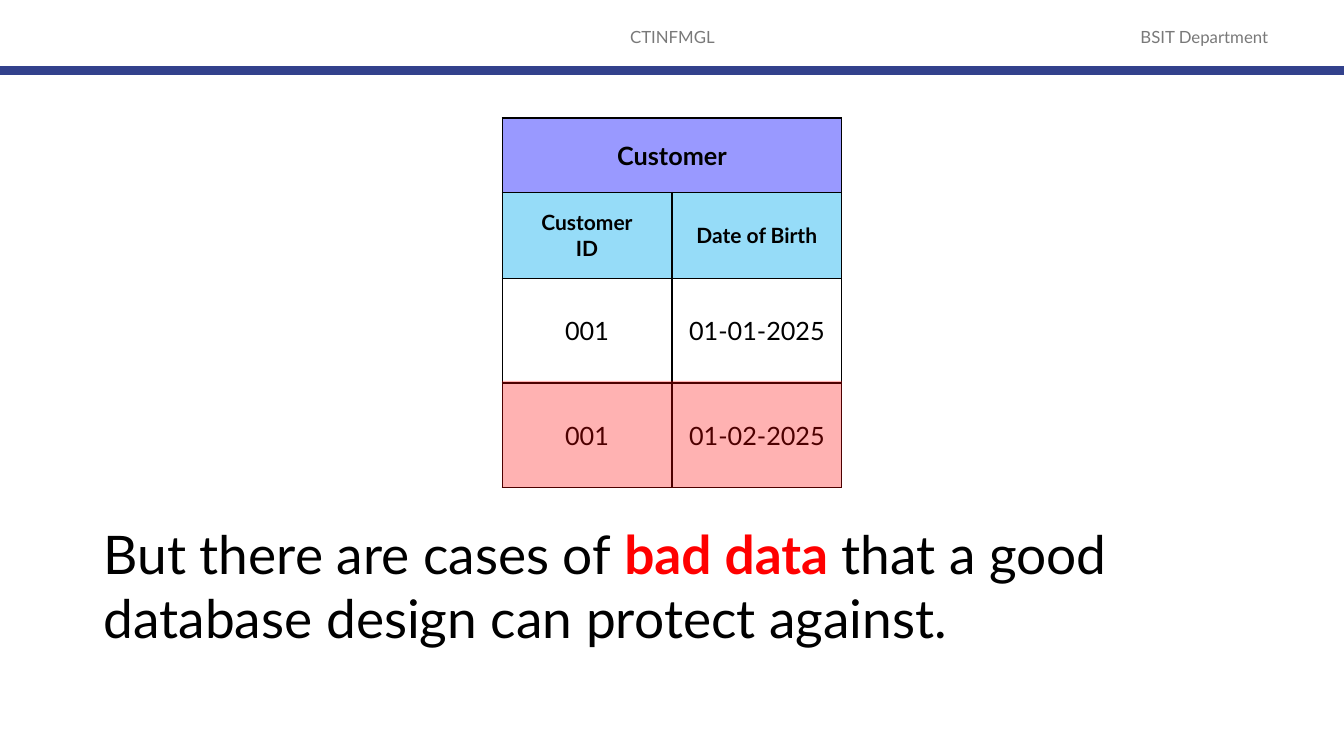
"""Build the slide on bad data in the Customer table."""
from lxml import etree
from pptx import Presentation
from pptx.dml.color import RGBColor
from pptx.enum.shapes import MSO_CONNECTOR, MSO_SHAPE
from pptx.enum.text import MSO_ANCHOR, PP_ALIGN
from pptx.oxml.ns import qn
from pptx.util import Inches, Pt

BLACK = RGBColor(0x00, 0x00, 0x00)
GRAY = RGBColor(0x79, 0x79, 0x79)
NAVY = RGBColor(0x32, 0x41, 0x8C)
VIOLET = RGBColor(0x99, 0x99, 0xFF)
SKY = RGBColor(0x96, 0xDC, 0xF8)
RED = RGBColor(0xFF, 0x00, 0x00)


def write(frame, text, size=18, color=BLACK, bold=False, align=PP_ALIGN.CENTER):
    """Append text to the frame, starting a paragraph at each line break."""
    for index, line in enumerate(text.split("\n")):
        para = frame.add_paragraph() if index else frame.paragraphs[-1]
        para.alignment = align
        span = para.add_run()
        span.text = line
        span.font.name = "Lato"
        span.font.size = Pt(size)
        span.font.bold = bold
        span.font.color.rgb = color


def add_borders(cell):
    """Draw a one-point black line on all four sides of a cell."""
    properties = cell._tc.get_or_add_tcPr()
    for index, side in enumerate(("lnL", "lnR", "lnT", "lnB")):
        border = etree.Element(qn(f"a:{side}"), w=str(Pt(1)))
        fill = etree.SubElement(border, qn("a:solidFill"))
        etree.SubElement(fill, qn("a:srgbClr"), val=str(BLACK))
        properties.insert(index, border)


deck = Presentation()
deck.slide_width = Inches(13.33)
deck.slide_height = Inches(7.5)
page = deck.slides.add_slide(deck.slide_layouts[6])
shapes = page.shapes

for label, left, width in (("CTINFMGL", 4.42, 4.5), ("BSIT Department", 10.92, 2.05)):
    box = shapes.add_textbox(Inches(left), Inches(0.17), Inches(width), Inches(0.4))
    box.text_frame.word_wrap = True
    box.text_frame.vertical_anchor = MSO_ANCHOR.MIDDLE
    write(box.text_frame, label, size=12, color=GRAY)

rule = shapes.add_connector(
    MSO_CONNECTOR.STRAIGHT, 0, Inches(0.7), deck.slide_width, Inches(0.7)
)
rule.line.color.rgb = NAVY
rule.line.width = Pt(6)
etree.SubElement(rule._element.spPr, qn("a:effectLst"))

customer_rows = (
    (0.74, ("Customer", ""), VIOLET, 18, True),
    (0.85, ("Customer\nID", "Date of Birth"), SKY, 15, True),
    (1.04, ("001", "01-01-2025"), None, 18, False),
    (1.04, ("001", "01-02-2025"), None, 18, False),
)
table = shapes.add_table(
    len(customer_rows), 2, Inches(4.98), Inches(1.17), Inches(3.37), Inches(3.67)
).table
table.first_row = False
table.horz_banding = False
table.cell(0, 0).merge(table.cell(0, 1))
for row, (height, texts, fill, size, bold) in enumerate(customer_rows):
    table.rows[row].height = Inches(height)
    for column, text in enumerate(texts):
        cell = table.cell(row, column)
        cell.vertical_anchor = MSO_ANCHOR.MIDDLE
        if fill is None:
            cell.fill.background()
        else:
            cell.fill.solid()
            cell.fill.fore_color.rgb = fill
        add_borders(cell)
        if text:
            write(cell.text_frame, text, size=size, bold=bold)

highlight = shapes.add_shape(
    MSO_SHAPE.RECTANGLE, Inches(4.98), Inches(3.78), Inches(3.37), Inches(1.06)
)
highlight.shadow.inherit = False
highlight.line.fill.background()
highlight.fill.solid()
highlight.fill.fore_color.rgb = RED
tint = highlight._element.spPr.find(qn("a:solidFill"))[0]
etree.SubElement(tint, qn("a:alpha"), val="30000")

message = shapes.add_textbox(Inches(0.93), Inches(5.12), Inches(11.31), Inches(1.38))
message.text_frame.word_wrap = True
for text, color, bold in (
    ("But there are cases of ", BLACK, False),
    ("bad data ", RED, True),
    ("that a good database design can protect against.", BLACK, False),
):
    write(message.text_frame, text, size=38, color=color, bold=bold, align=PP_ALIGN.LEFT)

deck.save("out.pptx")
